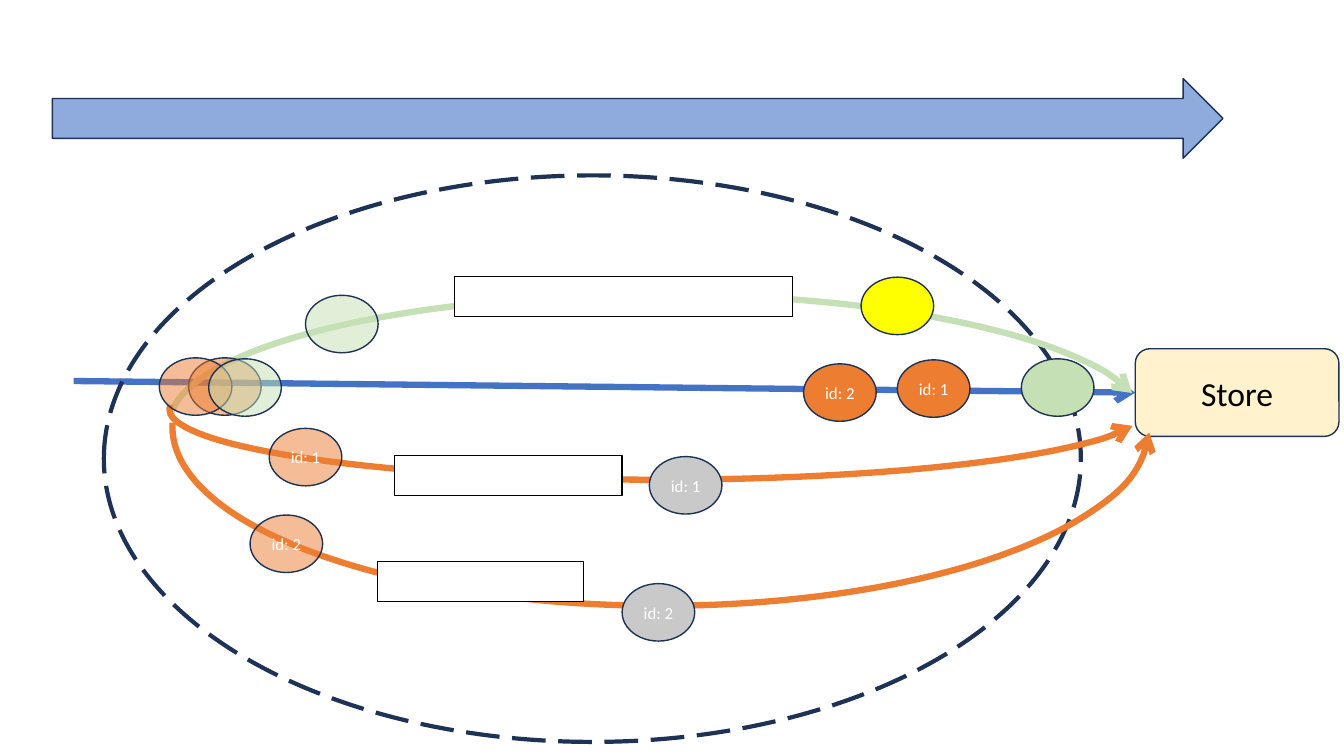
"""Build a slide of id events travelling along curved paths to a store."""
from pptx import Presentation
from pptx.dml.color import RGBColor
from pptx.enum.dml import MSO_LINE
from pptx.enum.shapes import MSO_CONNECTOR, MSO_SHAPE
from pptx.enum.text import MSO_ANCHOR, PP_ALIGN
from pptx.oxml.ns import qn
from pptx.util import Inches, Pt
from lxml import etree

ARC = MSO_SHAPE.ARC
ELLIPSE = MSO_SHAPE.OVAL
RECTANGLE = MSO_SHAPE.RECTANGLE
ROUNDED = MSO_SHAPE.ROUNDED_RECTANGLE
RIGHT_ARROW = MSO_SHAPE.RIGHT_ARROW
STRAIGHT = MSO_CONNECTOR.STRAIGHT
LONG_DASH = MSO_LINE.LONG_DASH
MIDDLE = MSO_ANCHOR.MIDDLE
CENTER = PP_ALIGN.CENTER

NAVY = RGBColor(0x1E, 0x32, 0x56)
BLUE = RGBColor(0x44, 0x72, 0xC4)
LIGHT_BLUE = RGBColor(0x8F, 0xAA, 0xDC)
ORANGE = RGBColor(0xED, 0x7D, 0x31)
GREEN = RGBColor(0xC5, 0xE0, 0xB4)
YELLOW = RGBColor(0xFF, 0xFF, 0x00)
CREAM = RGBColor(0xFF, 0xF2, 0xCC)
GRAY = RGBColor(0xC9, 0xC9, 0xC9)
WHITE = RGBColor(0xFF, 0xFF, 0xFF)
BLACK = RGBColor(0x00, 0x00, 0x00)

prs = Presentation()
prs.slide_width = Inches(13.33)
prs.slide_height = Inches(7.5)
slide = prs.slides.add_slide(prs.slide_layouts[6])


def add_part(kind, box, fill=None, line=NAVY, width=1, text="", size=12, color=WHITE):
    part = slide.shapes.add_shape(kind, *[Inches(length) for length in box])
    part.shadow.inherit = False
    if fill is None:
        part.fill.background()
    else:
        part.fill.solid()
        part.fill.fore_color.rgb = fill
    part.line.color.rgb = line
    part.line.width = Pt(width)
    if text:
        frame = part.text_frame
        frame.margin_left = frame.margin_right = 0
        frame.vertical_anchor = MIDDLE
        frame.text = text
        frame.paragraphs[0].alignment = CENTER
        font = frame.paragraphs[0].runs[0].font
        font.name = "Calibri"
        font.size = Pt(size)
        font.color.rgb = color
    return part


def add_arrowhead(part):
    outline = part.line._get_or_add_ln()
    etree.SubElement(outline, qn("a:tailEnd"), type="arrow")


main_path = slide.shapes.add_connector(
    STRAIGHT, Inches(0.73), Inches(3.78), Inches(11.26), Inches(3.9))
main_path.line.color.rgb = BLUE
main_path.line.width = Pt(4.5)
add_arrowhead(main_path)
etree.SubElement(main_path._element.spPr, qn("a:effectLst"))

store = add_part(ROUNDED, (11.26, 3.46, 2.02, 0.87), CREAM, text="Store", size=24, color=BLACK)
main_path.end_connect(store, 1)

boundary = add_part(ELLIPSE, (1.03, 1.74, 9.69, 5.62), width=3)
boundary.line.dash_style = LONG_DASH

curved_paths = [
    (1.68, 2.92, 2.58, GREEN, 108.54, 213.73, False),
    (1.68, 3.36, 1.4, ORANGE, 107.7, 214.79, True),
    (1.71, 2.46, 3.55, ORANGE, 107.7, 215.61, True),
]
for left, top, height, color, start, end, flipped in curved_paths:
    curve = add_part(ARC, (left, top, 9.69, height), line=color, width=4.5)
    curve.adjustments[0] = start
    curve.adjustments[1] = end
    add_arrowhead(curve)
    if flipped:
        curve._element.spPr.find(qn("a:xfrm")).set("flipV", "1")

events = [
    (10.13, 3.56, GREEN, False, ""),
    (8.54, 2.75, YELLOW, False, ""),
    (1.87, 3.55, ORANGE, True, ""),
    (1.58, 3.55, ORANGE, True, ""),
    (2.07, 3.56, GREEN, True, ""),
    (7.97, 3.61, ORANGE, False, "id: 2"),
    (8.9, 3.57, ORANGE, False, "id: 1"),
    (6.44, 4.53, GRAY, False, "id: 1"),
    (6.17, 5.79, GRAY, False, "id: 2"),
    (2.67, 4.25, ORANGE, True, "id: 1"),
    (2.48, 5.11, ORANGE, True, "id: 2"),
    (3.03, 2.93, GREEN, True, ""),
]
for left, top, color, faded, label in events:
    event = add_part(ELLIPSE, (left, top, 0.72, 0.57), color, text=label)
    if faded:
        fill_color = event._element.spPr.find(qn("a:solidFill")).find(qn("a:srgbClr"))
        etree.SubElement(fill_color, qn("a:alpha"), val="50000")

for left, top, width in [(4.51, 2.74, 3.35), (3.91, 4.52, 2.26), (3.74, 5.57, 2.05)]:
    add_part(RECTANGLE, (left, top, width, 0.4), WHITE, BLACK, 0.75)

add_part(RIGHT_ARROW, (0.52, 0.78, 11.61, 0.79), LIGHT_BLUE)

prs.save("out.pptx")
